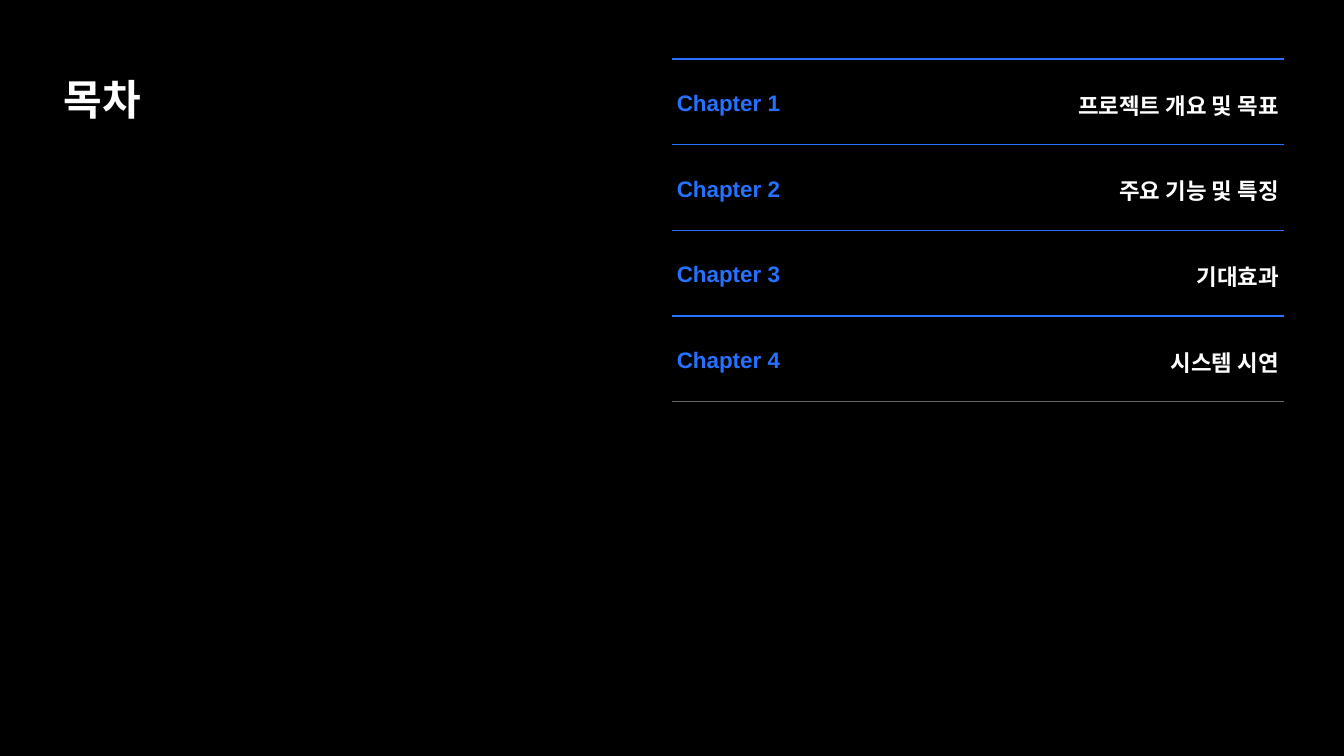
from lxml import etree
from pptx import Presentation
from pptx.dml.color import RGBColor
from pptx.enum.text import MSO_ANCHOR, PP_ALIGN
from pptx.oxml.ns import qn
from pptx.util import Inches, Pt

LEFT, RIGHT = PP_ALIGN.LEFT, PP_ALIGN.RIGHT
MIDDLE = MSO_ANCHOR.MIDDLE
COLORS = {"background": "000000", "accent": "2671FF", "text": "FFFFFF", "closing": "666666"}
CHAPTERS = ["프로젝트 개요 및 목표", "주요 기능 및 특징", "기대효과", "시스템 시연"]
COLUMN_WIDTHS = [3.55, 8.6]


def write_text(frame, text, size, color, spacing, align=LEFT):
    para = frame.paragraphs[0]
    para.alignment = align
    para.line_spacing = spacing
    span = para.add_run()
    span.text = text
    for name, value in {"name": "Arial", "size": Pt(size), "bold": True}.items():
        setattr(span.font, name, value)
    span.font.color.rgb = RGBColor.from_string(COLORS[color])


def set_borders(cell, borders):
    properties = cell._tc.get_or_add_tcPr()
    for position, side in enumerate("LRTB"):
        line = etree.Element(qn(f"a:ln{side}"))
        if side in borders:
            color, width = borders[side]
            line.set("w", str(Pt(width)))
            fill = etree.SubElement(line, qn("a:solidFill"))
            etree.SubElement(fill, qn("a:srgbClr"), val=COLORS[color])
        else:
            line.set("w", "0")
            etree.SubElement(line, qn("a:noFill"))
        properties.insert(position, line)


def add_title(page, left, top, width, height):
    box = page.shapes.add_textbox(Inches(left), Inches(top), Inches(width), Inches(height))
    box.text_frame.word_wrap = True
    write_text(box.text_frame, "목차", 60, "text", 1.24)


def add_contents(page, left, top, width, height):
    frame = page.shapes.add_table(
        len(CHAPTERS), len(COLUMN_WIDTHS),
        Inches(left), Inches(top), Inches(width), Inches(height),
    )
    table = frame.table
    table.first_row = table.horz_banding = False
    for column, column_width in zip(table.columns, COLUMN_WIDTHS):
        column.width = Inches(column_width)
    for index, name in enumerate(CHAPTERS):
        last = index == len(CHAPTERS) - 1
        borders = {"T": ("accent", 2.7), "B": ("closing", 1) if last else ("accent", 2.7)}
        entries = [(f"Chapter {index + 1}", "accent", LEFT), (name, "text", RIGHT)]
        for cell, (text, color, align) in zip(table.rows[index].cells, entries):
            cell.fill.background()
            cell.vertical_anchor = MIDDLE
            write_text(cell.text_frame, text, 32, color, 1.16, align)
            set_borders(cell, borders)


def main():
    deck = Presentation()
    deck.slide_width, deck.slide_height = Inches(26.67), Inches(15)
    page = deck.slides.add_slide(deck.slide_layouts[6])
    page.background.fill.solid()
    page.background.fill.fore_color.rgb = RGBColor.from_string(COLORS["background"])
    add_contents(page, 13.33, 1.17, sum(COLUMN_WIDTHS), 6.8)
    add_title(page, 1.17, 1.17, 2.65, 1.29)
    deck.save("out.pptx")


if __name__ == "__main__":
    main()
